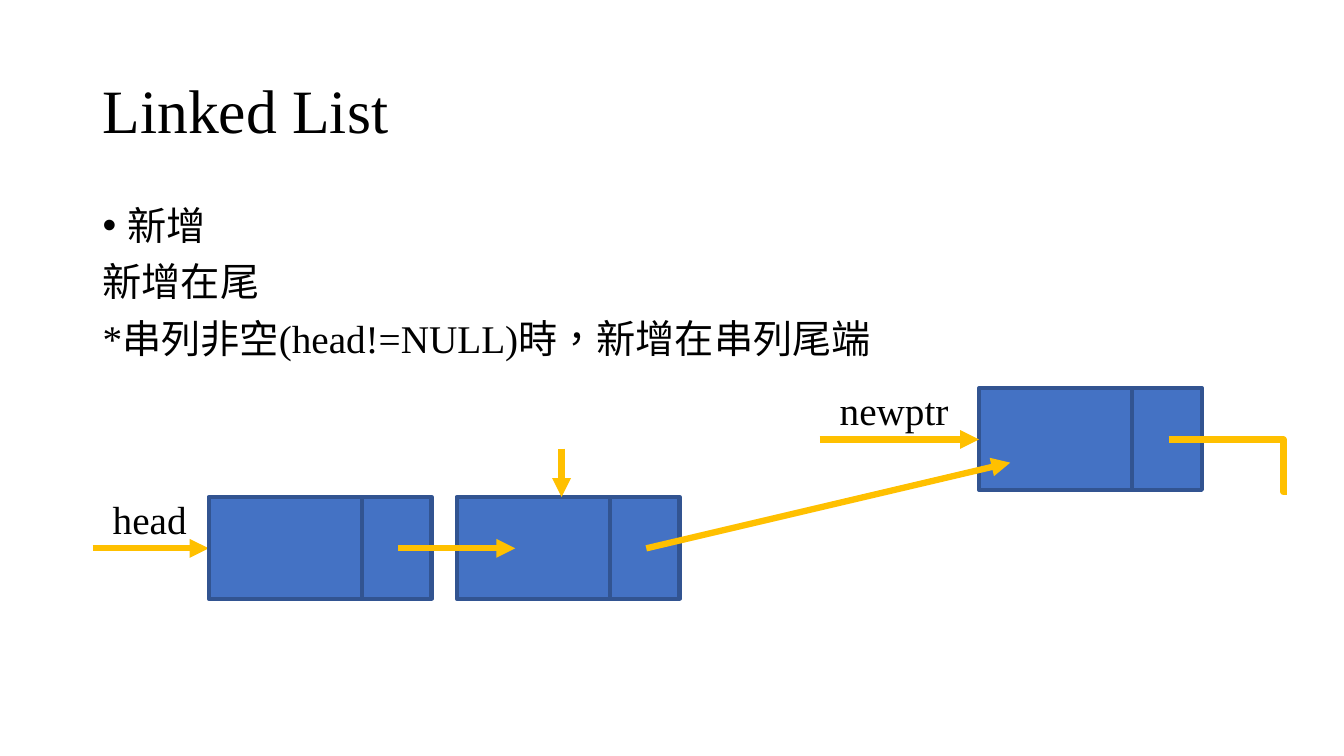
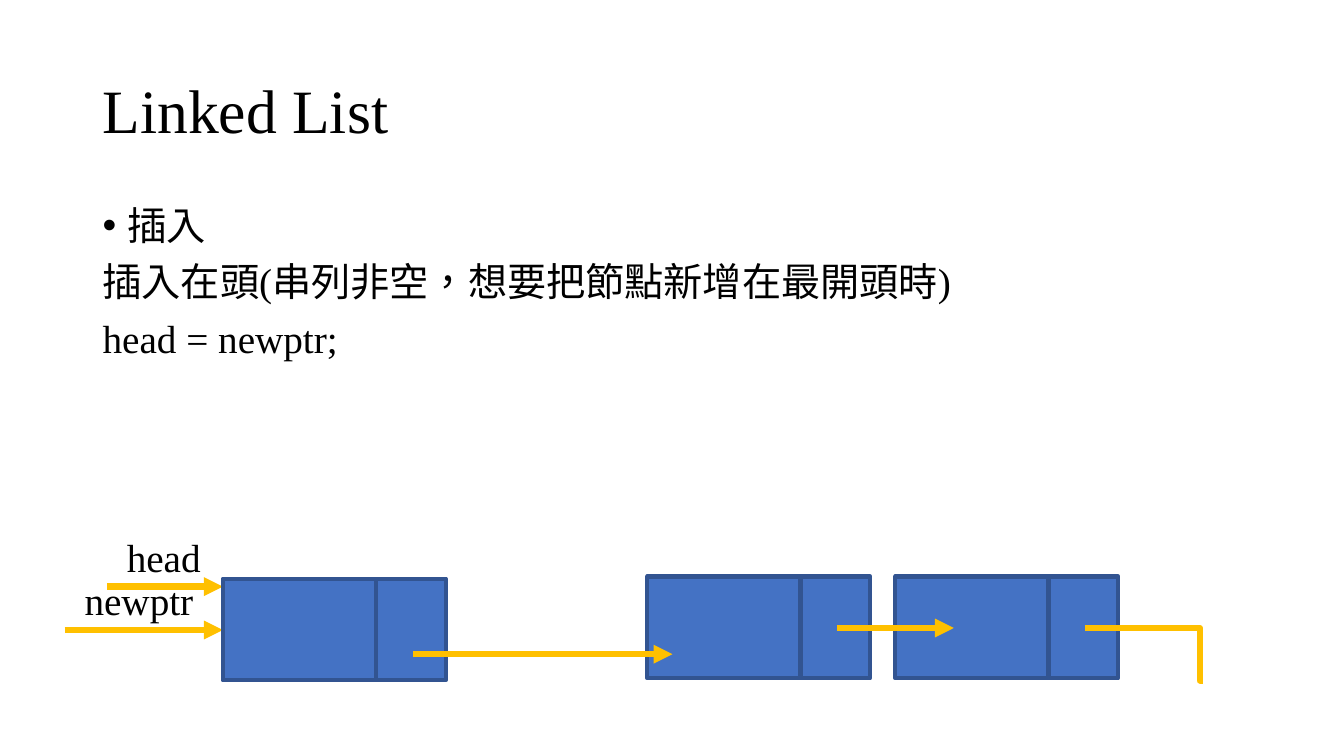
from lxml import etree
from pptx import Presentation
from pptx.dml.color import RGBColor
from pptx.enum.lang import MSO_LANGUAGE_ID
from pptx.enum.shapes import MSO_CONNECTOR, MSO_SHAPE
from pptx.enum.text import MSO_ANCHOR
from pptx.oxml.ns import qn
from pptx.util import Pt

PX = 9144  # EMU; 100 px to the inch
FONT = "Times New Roman"
BLACK = RGBColor(0x00, 0x00, 0x00)
BLUE = RGBColor(0x44, 0x72, 0xC4)
NAVY = RGBColor(0x32, 0x54, 0x91)
GOLD = RGBColor(0xFF, 0xC0, 0x00)
RECTANGLE = MSO_SHAPE.RECTANGLE
STRAIGHT = MSO_CONNECTOR.STRAIGHT
ELBOW = MSO_CONNECTOR.ELBOW
MIDDLE = MSO_ANCHOR.MIDDLE
TAIWANESE = MSO_LANGUAGE_ID.TRADITIONAL_CHINESE

DATA_WIDTH, NEXT_WIDTH, NODE_HEIGHT = 152, 69, 101
LABEL_WIDTHS = {"head": 94, "newptr": 129}


def px(*lengths):
    return [length * PX for length in lengths]


class ListDeck:
    def __init__(self):
        self.deck = Presentation()
        self.deck.slide_width, self.deck.slide_height = px(1333, 750)
        self.page = None

    def start_page(self, title, lines):
        """Add a slide with its title and body; the first line is bulleted."""
        self.page = self.deck.slides.add_slide(self.deck.slide_layouts[6])
        self.text([title], 92, 40, 1150, 145, size=44, spacing=0.9, anchor=MIDDLE)
        self.text(lines, 92, 200, 1150, 476, spacing=0.9, bullet=True)

    def text(self, lines, left, top, width, height, size=28, spacing=None,
             anchor=None, bullet=False, wrap=True):
        box = self.page.shapes.add_textbox(*px(left, top, width, height))
        frame = box.text_frame
        frame.word_wrap = wrap
        frame.vertical_anchor = anchor
        for index, line in enumerate(lines):
            para = frame.add_paragraph() if index else frame.paragraphs[0]
            para.text = line
            para.line_spacing = spacing
            if index:
                para.space_before = Pt(10)
            elif bullet:
                self.add_bullet(para)
            font = para.font
            font.name, font.size = FONT, Pt(size)
            font.color.rgb = BLACK
            font.language_id = TAIWANESE

    def add_bullet(self, para):
        properties = para._p.get_or_add_pPr()
        properties.set("marL", str(25 * PX))
        properties.set("indent", str(-25 * PX))
        etree.SubElement(properties, qn("a:buFont"), typeface="Arial")
        etree.SubElement(properties, qn("a:buChar"), char="•")

    def line(self, start, end, kind=STRAIGHT):
        line = self.page.shapes.add_connector(kind, *px(*start, *end))
        line.line.color.rgb = GOLD
        line.line.width = Pt(4.5)
        etree.SubElement(line._element.spPr, qn("a:effectLst"))
        return line

    def arrow(self, start, end):
        outline = self.line(start, end).line._get_or_add_ln()
        etree.SubElement(outline, qn("a:tailEnd"), type="triangle")

    def pointer(self, name, left, top, right):
        """Draw a named arrow that points at a node."""
        self.arrow((left, top), (right, top))
        self.text([name], left + 10, top - 58, LABEL_WIDTHS[name], 57, wrap=False)

    def node(self, left, top):
        """Draw a data cell and a next cell; return the middle of the next cell."""
        next_left = left + DATA_WIDTH
        for cell_left, width in ((left, DATA_WIDTH), (next_left, NEXT_WIDTH)):
            cell = self.page.shapes.add_shape(
                RECTANGLE, *px(cell_left, top, width, NODE_HEIGHT))
            cell.shadow.inherit = False
            cell.fill.solid()
            cell.fill.fore_color.rgb = BLUE
            cell.line.color.rgb = NAVY
            cell.line.width = Pt(3)
        return next_left + 36, top + 51

    def null_end(self, start):
        """Draw the hooked line that ends the list."""
        left, top = start
        hook = self.line(start, (left + 117, top + 52), ELBOW)
        guides = hook._element.spPr.find(qn("a:prstGeom")).get_or_add_avLst()
        etree.SubElement(guides, qn("a:gd"), name="adj1", fmla="val 97500")


def append_at_tail(slides):
    slides.start_page("Linked List", [
        "新增", "新增在尾", "*串列非空(head!=NULL)時，新增在串列尾端"])
    slides.pointer("head", 92, 544, 207)
    first_next = slides.node(207, 493)
    new_next = slides.node(971, 385)
    last_next = slides.node(453, 493)
    slides.arrow(first_next, (511, 544))
    slides.null_end(new_next)
    slides.arrow((557, 445), (557, 493))
    slides.arrow(last_next, (1002, 459))
    slides.pointer("newptr", 813, 436, 971)


def insert_at_head(slides):
    slides.start_page("Linked List", [
        "插入", "插入在頭(串列非空，想要把節點新增在最開頭時)", "head = newptr;"])
    slides.pointer("head", 106, 582, 221)
    first_next = slides.node(642, 572)
    last_next = slides.node(888, 572)
    slides.arrow(first_next, (946, 623))
    slides.null_end(last_next)
    slides.pointer("newptr", 64, 625, 221)
    slides.node(221, 574)
    slides.arrow((410, 649), (667, 649))


def main():
    slides = ListDeck()
    append_at_tail(slides)
    insert_at_head(slides)
    slides.deck.save("out.pptx")


if __name__ == "__main__":
    main()
